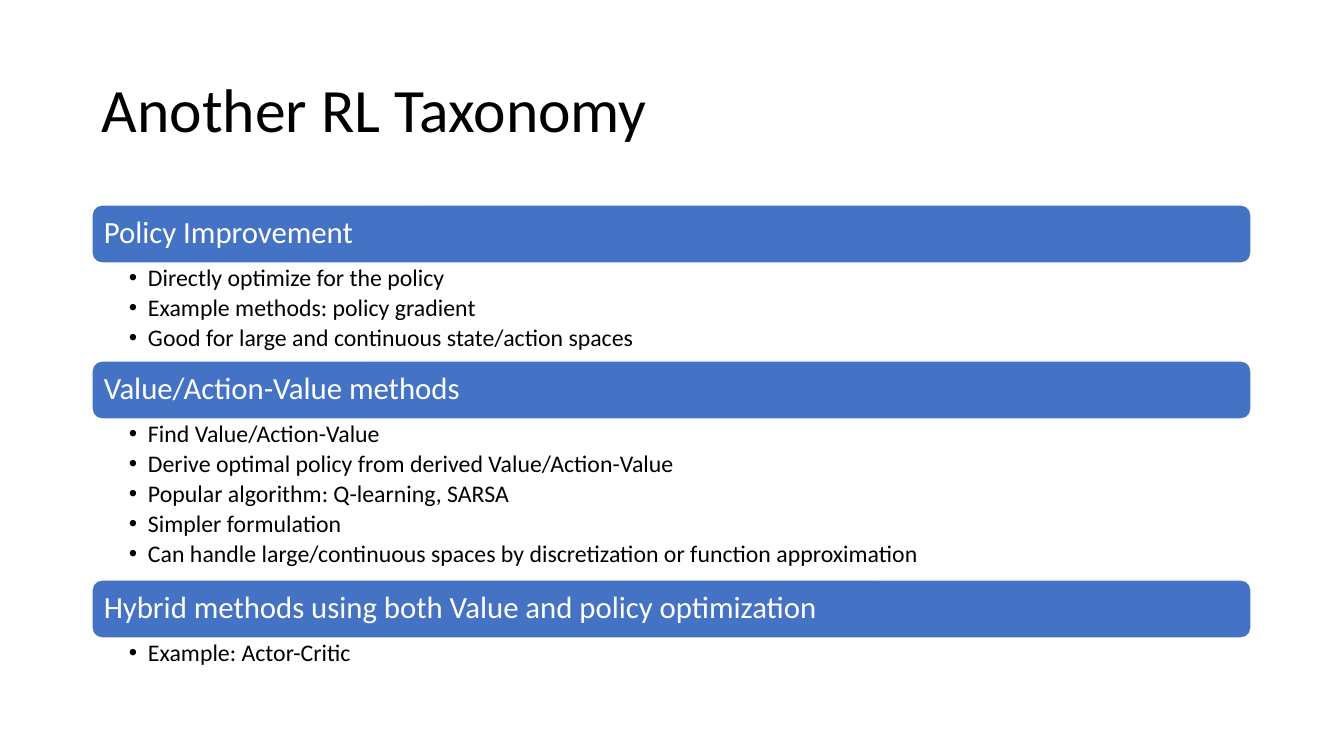
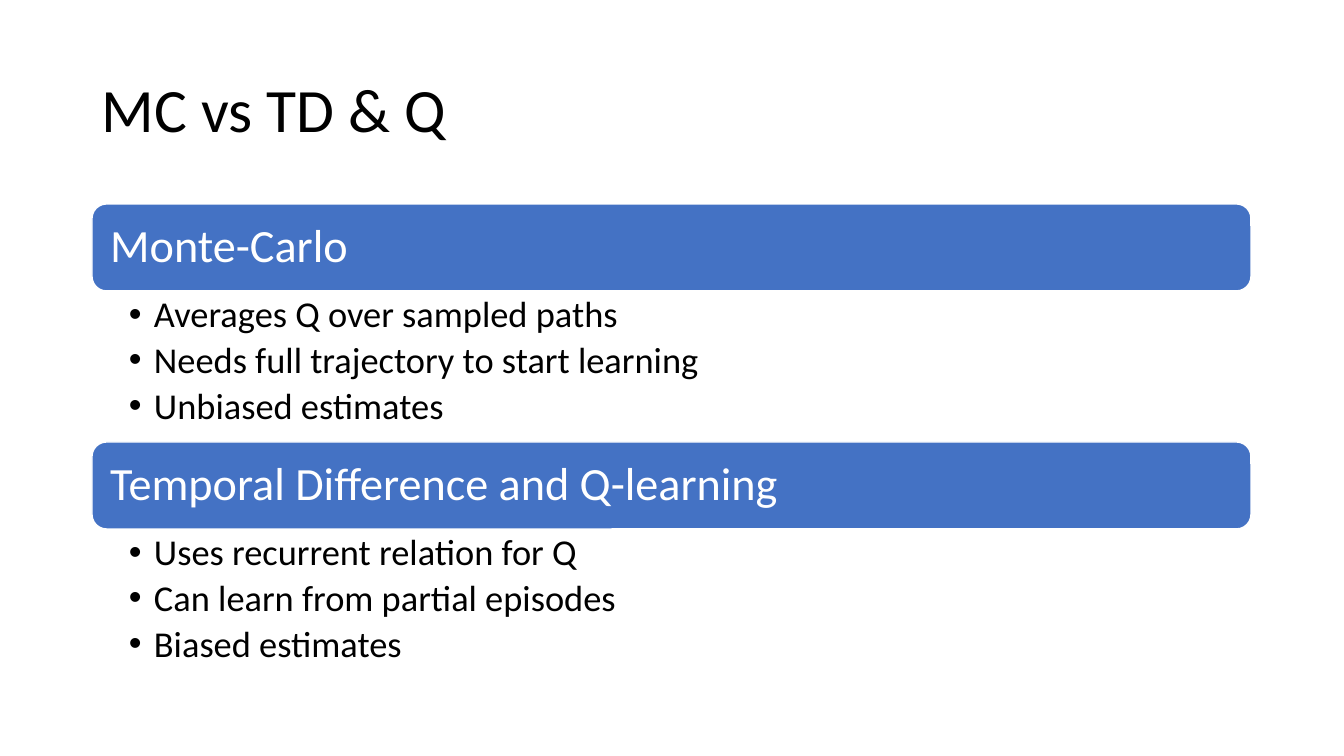
from dataclasses import dataclass

from lxml import etree
from pptx import Presentation
from pptx.dml.color import RGBColor
from pptx.enum.shapes import MSO_SHAPE
from pptx.enum.text import MSO_ANCHOR, PP_ALIGN
from pptx.oxml.ns import qn
from pptx.util import Emu, Pt

ROUNDED = MSO_SHAPE.ROUNDED_RECTANGLE
MIDDLE = MSO_ANCHOR.MIDDLE
TOP = MSO_ANCHOR.TOP
LEFT = PP_ALIGN.LEFT

SLIDE_WIDTH, SLIDE_HEIGHT = 1344, 756
EMU_PER_PX = 12192000 / SLIDE_WIDTH
CONTENT_LEFT, CONTENT_WIDTH = 92, 1159
TITLE_BOX = (CONTENT_LEFT, 40, CONTENT_WIDTH, 146)
BLACK, WHITE, BLUE = "000000", "FFFFFF", "4472C4"
FONT = "Calibri"
LINE_SPACING = 0.9
BULLET_GAP = 0.18


@dataclass
class ListStyle:
    band_height: int
    band_inset: int
    band_size: int
    bullet_size: int
    bullet_indent: int
    bullet_insets: tuple


COMPACT = ListStyle(58, 9, 22, 17, 19, (37, 3, 17, 3))
LARGE = ListStyle(87, 14, 33, 26, 25, (37, 5, 26, 5))

SLIDES = [
    ("Another RL Taxonomy", COMPACT, 205, [
        ("Policy Improvement", 98, [
            "Directly optimize for the policy",
            "Example methods: policy gradient",
            "Good for large and continuous state/action spaces",
        ]),
        ("Value/Action-Value methods", 161, [
            "Find Value/Action-Value",
            "Derive optimal policy from derived Value/Action-Value",
            "Popular algorithm: Q-learning, SARSA",
            "Simpler formulation",
            "Can handle large/continuous spaces by discretization or function approximation",
        ]),
        ("Hybrid methods using both Value and policy optimization", 40, [
            "Example: Actor-Critic",
        ]),
    ]),
    ("MC vs TD & Q", LARGE, 204, [
        ("Monte-Carlo", 151, [
            "Averages Q over sampled paths",
            "Needs full trajectory to start learning",
            "Unbiased estimates",
        ]),
        ("Temporal Difference and Q-learning", 151, [
            "Uses recurrent relation for Q",
            "Can learn from partial episodes",
            "Biased estimates",
        ]),
    ]),
]


def px(length):
    return Emu(round(length * EMU_PER_PX))


def color(value):
    return RGBColor.from_string(value)


def set_frame(shape, insets, anchor):
    text_frame = shape.text_frame
    text_frame.word_wrap = True
    text_frame.vertical_anchor = anchor
    (text_frame.margin_left, text_frame.margin_top,
     text_frame.margin_right, text_frame.margin_bottom) = map(px, insets)
    return text_frame


def write(paragraph, text, size, text_color):
    paragraph.text = text
    paragraph.alignment = LEFT
    paragraph.line_spacing = LINE_SPACING
    for run in paragraph.runs:
        run.font.name = FONT
        run.font.size = Pt(size)
        run.font.color.rgb = color(text_color)


def add_bullet(paragraph, indent):
    properties = paragraph._p.get_or_add_pPr()
    properties.set("marL", str(px(indent)))
    properties.set("indent", str(-px(indent)))
    etree.SubElement(properties, qn("a:buFont")).set("typeface", "Arial")
    etree.SubElement(properties, qn("a:buChar")).set("char", "•")


def add_title(slide, box, text):
    shape = slide.shapes.add_textbox(*map(px, box))
    text_frame = set_frame(shape, (10, 5, 10, 5), MIDDLE)
    write(text_frame.paragraphs[0], text, 44, BLACK)


def add_band(slide, box, text, style):
    shape = slide.shapes.add_shape(ROUNDED, *map(px, box))
    shape.shadow.inherit = False
    shape.fill.solid()
    shape.fill.fore_color.rgb = color(BLUE)
    shape.line.color.rgb = color(WHITE)
    shape.line.width = Pt(1)
    text_frame = set_frame(shape, [style.band_inset] * 4, MIDDLE)
    write(text_frame.paragraphs[0], text, style.band_size, WHITE)


def add_bullets(slide, box, items, style):
    shape = slide.shapes.add_textbox(*map(px, box))
    text_frame = set_frame(shape, style.bullet_insets, TOP)
    for index, item in enumerate(items):
        paragraph = text_frame.add_paragraph() if index else text_frame.paragraphs[0]
        add_bullet(paragraph, style.bullet_indent)
        write(paragraph, item, style.bullet_size, BLACK)
        paragraph.space_after = Pt(round(style.bullet_size * BULLET_GAP, 1))


def add_sections(slide, left, top, width, sections, style):
    for heading, bullets_height, items in sections:
        add_band(slide, (left, top, width, style.band_height), heading, style)
        top += style.band_height
        add_bullets(slide, (left, top, width, bullets_height), items, style)
        top += bullets_height


def main():
    presentation = Presentation()
    presentation.slide_width = px(SLIDE_WIDTH)
    presentation.slide_height = px(SLIDE_HEIGHT)
    blank_layout = presentation.slide_layouts[6]
    for title, style, top, sections in SLIDES:
        slide = presentation.slides.add_slide(blank_layout)
        add_title(slide, TITLE_BOX, title)
        add_sections(slide, CONTENT_LEFT, top, CONTENT_WIDTH, sections, style)
    presentation.save("out.pptx")


if __name__ == "__main__":
    main()
